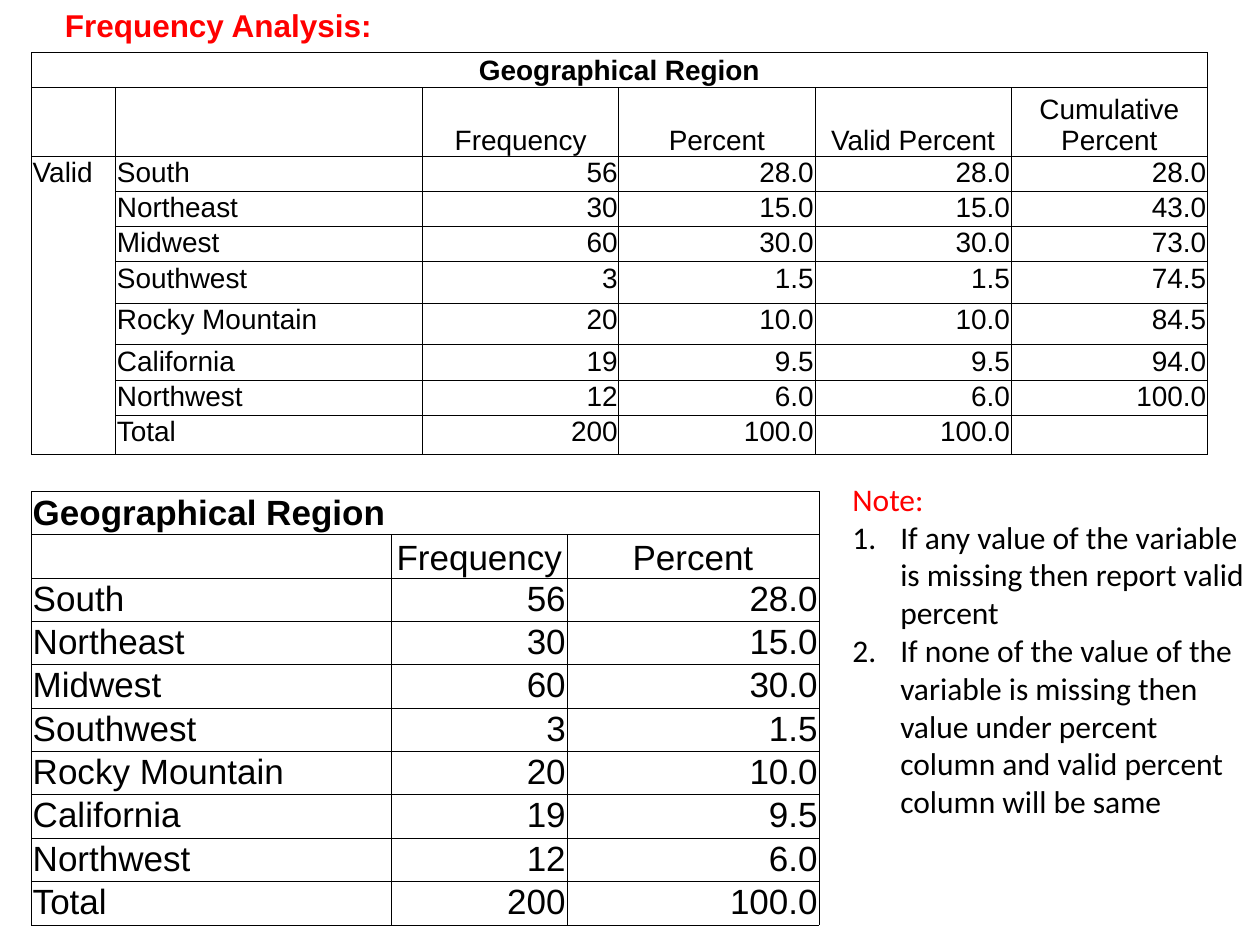
from dataclasses import dataclass

from lxml import etree
from pptx import Presentation
from pptx.dml.color import RGBColor
from pptx.enum.text import MSO_ANCHOR, MSO_AUTO_SIZE, PP_ALIGN
from pptx.oxml.ns import qn
from pptx.util import Emu, Inches, Pt

LEFT, MID, RIGHT = PP_ALIGN.LEFT, PP_ALIGN.CENTER, PP_ALIGN.RIGHT
TOP, CENTER, BASE = MSO_ANCHOR.TOP, MSO_ANCHOR.MIDDLE, MSO_ANCHOR.BOTTOM
FIT = MSO_AUTO_SIZE.SHAPE_TO_FIT_TEXT
UNIT = Inches(10) / 120  # slide grid: 120 columns by 90 rows


@dataclass(frozen=True)
class Theme:
    ink: RGBColor = RGBColor(0, 0, 0)
    red: RGBColor = RGBColor(255, 0, 0)
    sans: str = "Arial"
    body: str = "Calibri"
    text: int = 18
    large: int = 20
    small: int = 16
    rule: float = 0.5
    pad: float = 0.01


@dataclass(frozen=True)
class Box:
    x: float
    y: float
    w: float
    h: float

    def emu(self) -> list[Emu]:
        return [Emu(round(n * UNIT)) for n in (self.x, self.y, self.w, self.h)]


@dataclass(frozen=True)
class Grid:
    """A table whose column and row sizes are relative weights."""
    box: Box
    cols: tuple
    rows: tuple
    cells: list
    size: int
    title: PP_ALIGN
    stub: int  # number of leading label columns


THEME = Theme()
NAME = "Geographical Region"
# region, frequency, percent, valid percent, cumulative percent
DATA = [
    ("South", "56", "28.0", "28.0", "28.0"),
    ("Northeast", "30", "15.0", "15.0", "43.0"),
    ("Midwest", "60", "30.0", "30.0", "73.0"),
    ("Southwest", "3", "1.5", "1.5", "74.5"),
    ("Rocky Mountain", "20", "10.0", "10.0", "84.5"),
    ("California", "19", "9.5", "9.5", "94.0"),
    ("Northwest", "12", "6.0", "6.0", "100.0"),
    ("Total", "200", "100.0", "100.0", ""),
]
HEAD = ("", "Frequency", "Percent", "Valid Percent", "Cumulative Percent")
FULL = Grid(
    Box(3, 5, 112, 38.16), (67, 244) + (156,) * 4,
    (28, 54, 27, 28, 28, 33, 33, 28, 28, 31),
    [("", *HEAD)] + [("" if i else "Valid", *row) for i, row in enumerate(DATA)],
    THEME.small, MID, 2)
BRIEF = Grid(
    Box(3, 46.8, 75, 41.3), (286, 139, 200), (1,) * 10,
    [row[:3] for row in [HEAD, *DATA]], THEME.large, LEFT, 1)
NOTES = (
    "If any value of the variable is missing then report valid percent",
    "If none of the value of the variable is missing then value under "
    "percent column and valid percent column will be same",
)


def style(para, size: int, face: str, color: RGBColor, bold: bool = False) -> None:
    for run in para.runs:
        font = run.font
        font.size, font.name, font.bold = Pt(size), face, bold
        font.color.rgb = color


def edge(cell) -> None:
    """Rule all four sides of a cell."""
    props = cell._tc.get_or_add_tcPr()
    for i, side in enumerate(("lnL", "lnR", "lnT", "lnB")):
        line = etree.Element(qn(f"a:{side}"), w=str(Pt(THEME.rule)))
        fill = etree.SubElement(line, qn("a:solidFill"))
        etree.SubElement(fill, qn("a:srgbClr"), val=str(THEME.ink))
        props.insert(i, line)


def fill(cell, text: str, size: int, align: PP_ALIGN, anchor: MSO_ANCHOR,
         bold: bool) -> None:
    pad = Inches(THEME.pad)
    cell.margin_left = cell.margin_right = cell.margin_top = pad
    cell.margin_bottom = 0
    cell.vertical_anchor = anchor
    cell.fill.background()
    edge(cell)
    if text:
        cell.text_frame.text = text
        para = cell.text_frame.paragraphs[0]
        para.alignment = align
        style(para, size, THEME.sans, THEME.ink, bold)


def draw(slide, grid: Grid):
    rows, cols = len(grid.rows), len(grid.cols)
    x, y, w, h = grid.box.emu()
    table = slide.shapes.add_table(rows, cols, x, y, w, h).table
    table.first_row = table.horz_banding = False
    for col, part in zip(table.columns, grid.cols):
        col.width = round(w * part / sum(grid.cols))
    for row, part in zip(table.rows, grid.rows):
        row.height = round(h * part / sum(grid.rows))
    lines = [(NAME,) + ("",) * (cols - 1), *grid.cells]
    for r, line in enumerate(lines):
        for c, text in enumerate(line):
            if r == 0:
                align, anchor = grid.title, CENTER
            elif r == 1:
                align, anchor = MID, BASE
            else:
                align, anchor = LEFT if c < grid.stub else RIGHT, TOP
            fill(table.cell(r, c), text, grid.size, align, anchor, r == 0)
    table.cell(0, 0).merge(table.cell(0, cols - 1))
    return table


def write(slide, box: Box, lines: tuple, wrap: bool):
    frame = slide.shapes.add_textbox(*box.emu()).text_frame
    frame.word_wrap, frame.auto_size = wrap, FIT
    frame.text = "\n".join(lines)
    return frame.paragraphs


def number(para) -> None:
    props = para._p.get_or_add_pPr()
    hang = Inches(0.38)
    props.set("marL", str(hang))
    props.set("indent", str(-hang))
    etree.SubElement(props, qn("a:buFont"), typeface="+mj-lt")
    etree.SubElement(props, qn("a:buAutoNum"), type="arabicPeriod")


def main() -> None:
    deck = Presentation()
    deck.slide_width, deck.slide_height = Inches(10), Inches(7.5)
    slide = deck.slides.add_slide(deck.slide_layouts[6])
    draw(slide, BRIEF)
    title, = write(slide, Box(5, 0, 32, 4.8), ("Frequency Analysis:",), False)
    style(title, THEME.text, THEME.sans, THEME.red, True)
    full = draw(slide, FULL)
    full.cell(2, 0).merge(full.cell(len(FULL.rows) - 1, 0))
    note, *items = write(slide, Box(80, 45.1, 40, 34), ("Note:", *NOTES), True)
    style(note, THEME.text, THEME.body, THEME.red)
    for item in items:
        number(item)
        style(item, THEME.text, THEME.body, THEME.ink)
    deck.save("out.pptx")


if __name__ == "__main__":
    main()
